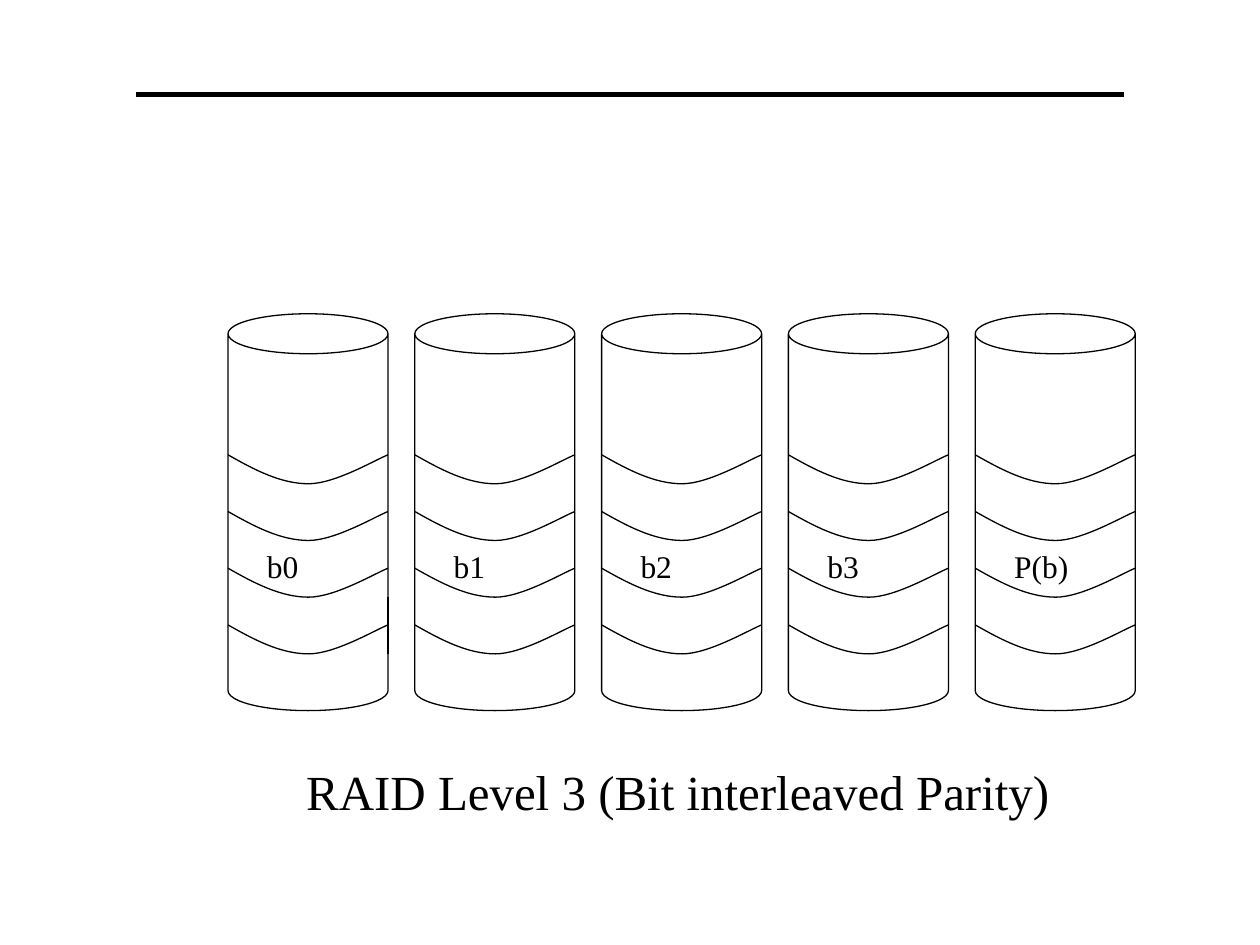
import lxml.etree
import pptx
import pptx.util
import pptx.dml.color
import pptx.enum.shapes
import pptx.enum.text
import pptx.oxml.ns
from pptx.util import Inches

HUES = {"ink": "000000", "paper": "FFFFFF"}
SHAPE = pptx.enum.shapes.MSO_SHAPE
LINE = pptx.enum.shapes.MSO_CONNECTOR.STRAIGHT
ALIGN = pptx.enum.text.PP_ALIGN
tag = pptx.oxml.ns.qn


def paint(shape, line="ink", width=0.75, fill=None):
    """Set outline and fill, and take the shadow away."""
    shape.line.color.rgb = pptx.dml.color.RGBColor.from_string(HUES[line])
    shape.line.width = pptx.util.Pt(width)
    if fill:
        shape.fill.solid()
        shape.fill.fore_color.rgb = pptx.dml.color.RGBColor.from_string(HUES[fill])
    if hasattr(shape, "shadow"):
        shape.shadow.inherit = False
    else:
        lxml.etree.SubElement(shape.element.spPr, tag("a:effectLst"))


def write(shape, text, size=18, color="ink", align=ALIGN.LEFT, left=0.1):
    frame = shape.text_frame
    frame.word_wrap = True
    frame.auto_size = pptx.enum.text.MSO_AUTO_SIZE.NONE
    frame.vertical_anchor = pptx.enum.text.MSO_ANCHOR.TOP
    frame.margin_left, frame.margin_right = Inches(left), Inches(0.1)
    frame.margin_top = frame.margin_bottom = Inches(0.05)
    para = frame.paragraphs[0]
    para.alignment = align
    run = para.add_run()
    run.text = text
    run.font.size = pptx.util.Pt(size)
    run.font.name = "Times New Roman"
    run.font.color.rgb = pptx.dml.color.RGBColor.from_string(HUES[color])


deck = pptx.Presentation()
deck.slide_width, deck.slide_height = Inches(10), Inches(7.5)
slide = deck.slides.add_slide(deck.slide_layouts[5])

rule = slide.shapes.add_connector(
    LINE, Inches(1.08), Inches(0.75), Inches(8.92), Inches(0.75))
paint(rule, width=3)

# Five disks at an even pitch, each cut by four curved bands
wide, tall, top = 1.27, 3.15, 2.49
first, last = 1.81, 7.74
band, step = 3.61, 0.45
curve = [(0.21, 0.12), (0.42, 0.23), (0.64, 0.23),
         (0.85, 0.23), (1.17, 0.04), (wide, 0)]
names = ["b0", "b1", "b2", "b3", "P(b)"]
pitch = (last - first) / (len(names) - 1)

for col, name in enumerate(names):
    left = first + col * pitch
    disk = slide.shapes.add_group_shape().shapes

    can = disk.add_shape(
        SHAPE.CAN, Inches(left), Inches(top), Inches(wide), Inches(tall))
    can.adjustments[0] = 0.25
    paint(can, fill="paper")

    label = disk.add_shape(
        SHAPE.RECTANGLE, Inches(left + 0.21), Inches(4.29), Inches(0.85), Inches(step))
    paint(label, line="paper", fill="paper")
    write(label, name)

    for row in range(4):
        y = band + row * step
        pen = disk.build_freeform(Inches(left), Inches(y))
        pen.add_line_segments(
            [(Inches(left + dx), Inches(y + dy)) for dx, dy in curve], close=False)
        wave = pen.convert_to_shape()
        wave.fill.background()
        paint(wave)
        # Every three points become the controls and end of one Bezier curve
        track = wave.element.find(".//" + tag("a:path"))
        legs = track.findall(tag("a:lnTo"))
        for start in range(0, len(legs), 3):
            bend = lxml.etree.SubElement(track, tag("a:cubicBezTo"))
            for leg in legs[start:start + 3]:
                bend.append(leg[0])
                track.remove(leg)

    edge = disk.add_connector(
        LINE, Inches(left + wide), Inches(4.74), Inches(left + wide), Inches(5.19))
    paint(edge)

title = slide.shapes.title
title.left, title.top = Inches(2.23), Inches(5.99)
title.width, title.height = Inches(6.33), Inches(0.83)
paint(title, line="paper", fill="paper")
write(title, "RAID Level 3 (Bit interleaved Parity)",
      size=28, align=ALIGN.JUSTIFY, left=0.2)

deck.save("out.pptx")
